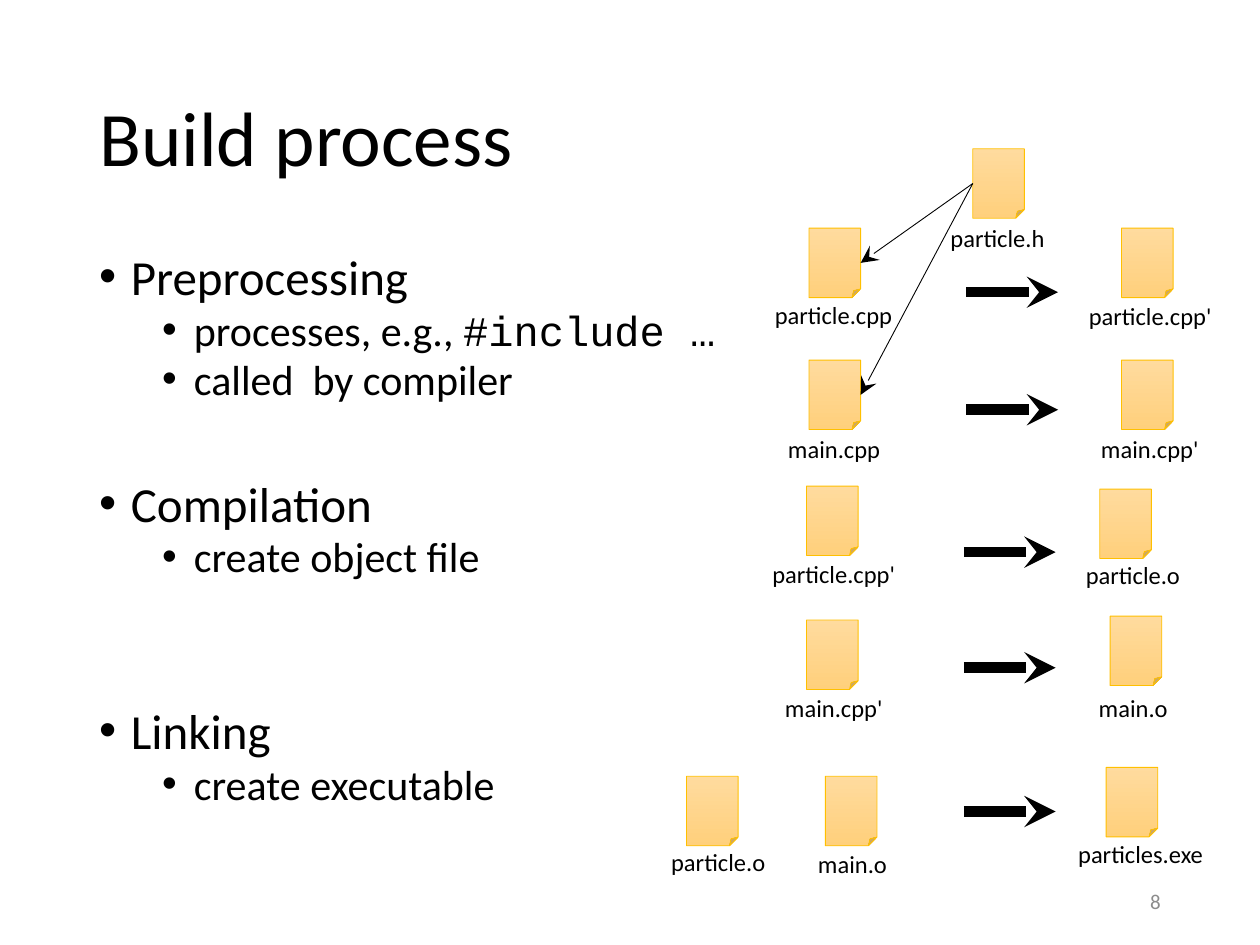
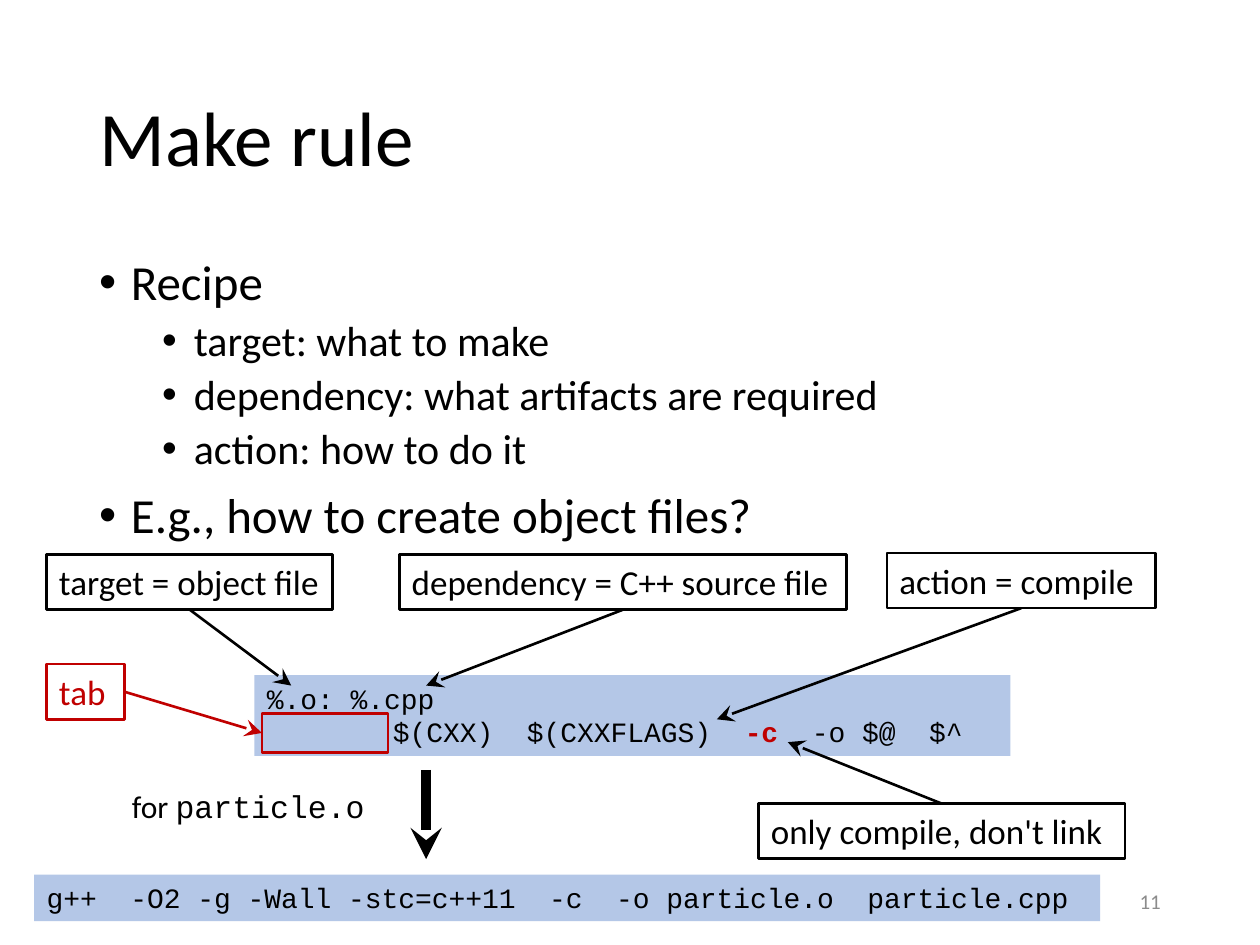
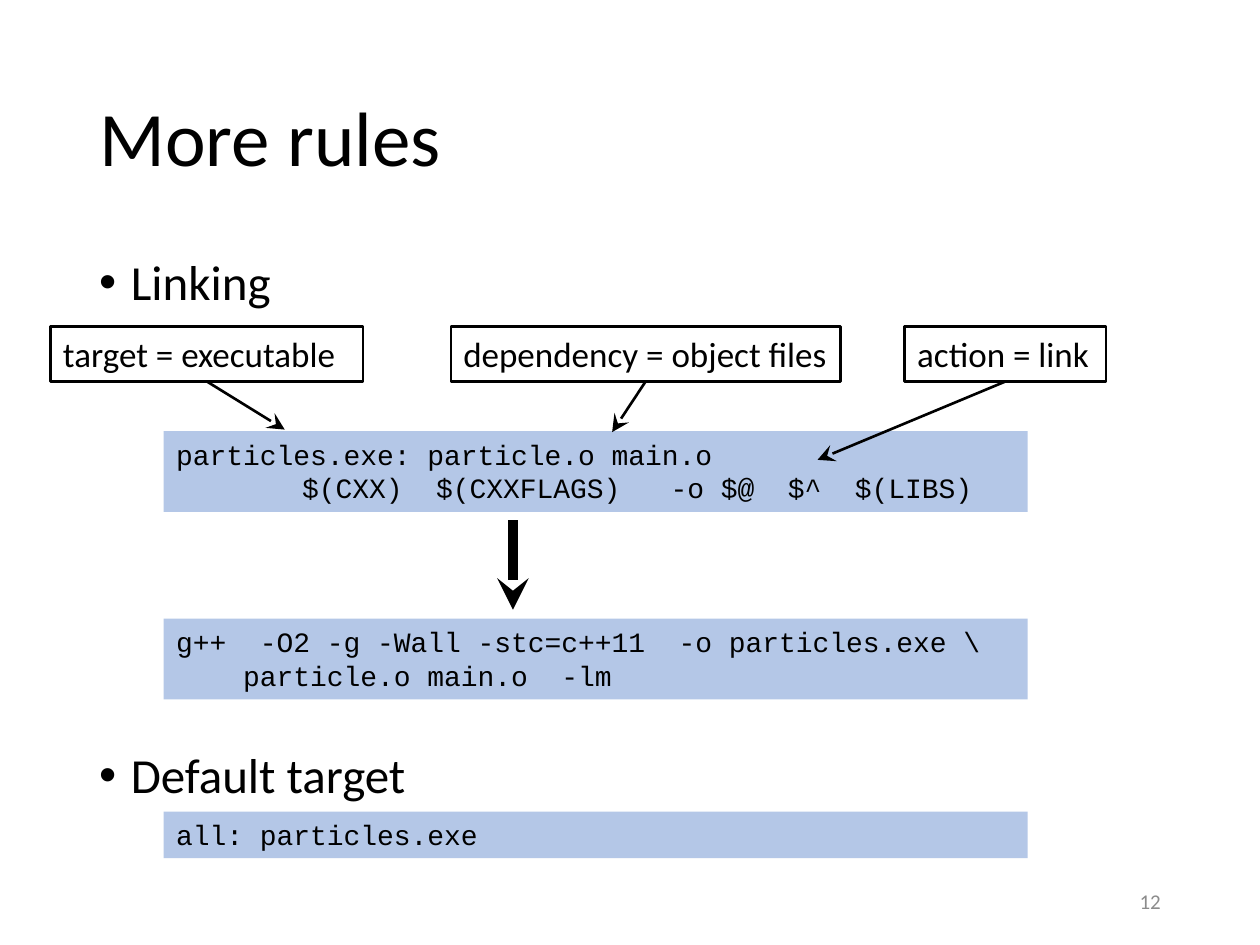
from lxml import etree
from pptx import Presentation
from pptx import util as u
from pptx.dml.color import RGBColor
from pptx.enum import shapes, text
from pptx.oxml.ns import qn

BLACK = RGBColor(0x00, 0x00, 0x00)
WHITE = RGBColor(0xFF, 0xFF, 0xFF)
GREY = RGBColor(0x8C, 0x8C, 0x8C)
RED = RGBColor(0xC0, 0x00, 0x00)
CODE_BLUE = RGBColor(0xB4, 0xC7, 0xE7)
FILE_TOP = RGBColor(0xFF, 0xDB, 0x9E)
FILE_BOTTOM = RGBColor(0xFF, 0xD0, 0x7C)
FILE_EDGE = RGBColor(0xFF, 0xC0, 0x00)

SANS, MONO = "Calibri", "Courier New"
TOP, LEFT, BOTTOM, RIGHT = range(4)
THICK = 6
FILE_W, FILE_H = 1.04, 1.4
CALLOUT_H = 1.11
CODE_TAB = 2.54
CODE_HEIGHTS = {1: 0.94, 2: 1.63}
LABEL_WIDTHS = {"particle.h": 2.44, "particle.cpp": 2.92, "main.cpp": 2.39,
                "particle.cpp'": 3.02, "main.cpp'": 2.49, "particle.o": 2.44,
                "main.o": 1.9, "particles.exe": 3.07}


# Text
def add_span(para, words, size, font=SANS, color=BLACK, bold=False):
    span = para.add_run()
    span.text = words
    span.font.size = u.Pt(size)
    span.font.name = font
    span.font.color.rgb = color
    span.font.bold = bold


def add_text_box(page, left, top, width, height, wrap=True):
    box = page.shapes.add_textbox(u.Cm(left), u.Cm(top), u.Cm(width), u.Cm(height))
    box.text_frame.word_wrap = wrap
    return box.text_frame


def next_para(frame, index):
    return frame.add_paragraph() if index else frame.paragraphs[0]


def add_bullets(page, items, line_spacing):
    """Each item is (level, space before in points, spans of (words, font))."""
    frame = add_text_box(page, 1.75, 5.08, 21.9, 12.09)
    for index, (level, gap, spans) in enumerate(items):
        para = next_para(frame, index)
        props = para._p.get_or_add_pPr()
        props.set("marL", str(u.Cm(0.64 + 1.27 * level)))
        props.set("indent", str(u.Cm(-0.64)))
        etree.SubElement(props, qn("a:buFont")).set("typeface", "Arial")
        etree.SubElement(props, qn("a:buChar")).set("char", "•")
        para.level = level
        para.line_spacing = line_spacing
        para.space_before = u.Pt(gap)
        for words, font in spans:
            add_span(para, words, 24 if level else 28, font)


# Page with title and number
def add_page(deck, title, number):
    page = deck.slides.add_slide(deck.slide_layouts[5])
    holder = page.shapes.title
    holder.left, holder.top = u.Cm(1.75), u.Cm(1.01)
    holder.width, holder.height = u.Cm(21.9), u.Cm(3.68)
    frame = holder.text_frame
    frame.auto_size = text.MSO_AUTO_SIZE.NONE
    frame.vertical_anchor = text.MSO_ANCHOR.MIDDLE
    para = frame.paragraphs[0]
    para.alignment = text.PP_ALIGN.LEFT
    para.line_spacing = 0.9
    add_span(para, title, 44)

    frame = add_text_box(page, 17.93, 17.66, 5.72, 1.02)
    frame.vertical_anchor = text.MSO_ANCHOR.MIDDLE
    frame.paragraphs[0].alignment = text.PP_ALIGN.RIGHT
    add_span(frame.paragraphs[0], number, 12, color=GREY)
    return page


# Shapes and arrows
def add_box(page, left, top, width, height, fill=None, edge=None, edge_width=1.5,
            kind=shapes.MSO_SHAPE.RECTANGLE):
    box = page.shapes.add_shape(kind, u.Cm(left), u.Cm(top), u.Cm(width), u.Cm(height))
    box.shadow.inherit = False
    if fill is None:
        box.fill.background()
    else:
        box.fill.solid()
        box.fill.fore_color.rgb = fill
    if edge is None:
        box.line.fill.background()
    else:
        box.line.color.rgb = edge
        box.line.width = u.Pt(edge_width)
    box.text_frame.word_wrap = True
    box.text_frame.vertical_anchor = text.MSO_ANCHOR.TOP
    return box


def add_arrow(page, start=(0, 0), end=(0, 0), width=1.5, color=BLACK,
              source=None, target=None):
    """Ends are points; source and target are (box, side) and take precedence."""
    arrow = page.shapes.add_connector(shapes.MSO_CONNECTOR.STRAIGHT,
                                      *[u.Cm(value) for value in (*start, *end)])
    if source:
        arrow.begin_connect(*source)
    if target:
        arrow.end_connect(*target)
    arrow.line.color.rgb = color
    arrow.line.width = u.Pt(width)
    props = arrow._element.spPr
    head = etree.SubElement(props.find(qn("a:ln")), qn("a:tailEnd"))
    head.set("type", "stealth")
    for side in ("w", "len"):
        head.set(side, "med" if width == THICK else "lg")
    etree.SubElement(props, qn("a:effectLst"))


def add_file(page, name, left, top, nudge, drop):
    """File icon with its name drop cm below its top, nudged off its centre."""
    icon = add_box(page, left, top, FILE_W, FILE_H, edge=FILE_EDGE, edge_width=0.5,
                   kind=shapes.MSO_SHAPE.FOLDED_CORNER)
    icon.fill.gradient()
    icon.fill.gradient_angle = 270
    for stop, color in zip(icon.fill.gradient_stops, (FILE_TOP, FILE_BOTTOM)):
        stop.color.rgb = color
    width = LABEL_WIDTHS[name]
    frame = add_text_box(page, left + (FILE_W - width) / 2 + nudge, top + drop,
                         width, 0.86, wrap=False)
    add_span(frame.paragraphs[0], name, 14)
    return icon


def add_code(page, left, top, width, lines):
    """Each line is a list of (words, is highlighted)."""
    box = add_box(page, left, top, width, CODE_HEIGHTS[len(lines)], CODE_BLUE)
    for index, spans in enumerate(lines):
        para = next_para(box.text_frame, index)
        tabs = etree.SubElement(para._p.get_or_add_pPr(), qn("a:tabLst"))
        etree.SubElement(tabs, qn("a:tab"), pos=str(u.Cm(CODE_TAB)), algn="l")
        para.alignment = text.PP_ALIGN.LEFT
        for words, strong in spans:
            add_span(para, words, 16, MONO, RED if strong else BLACK, strong)


def add_callout(page, words, left, top, width, color=BLACK, side=BOTTOM,
                end=(0, 0), target=None):
    box = add_box(page, left, top, width, CALLOUT_H, WHITE, color)
    para = box.text_frame.paragraphs[0]
    para.alignment = text.PP_ALIGN.LEFT
    add_span(para, words, 20, color=color)
    start = (left + width / 2, top + CALLOUT_H)
    add_arrow(page, start, end, color=color, source=(box, side), target=target)


# Pages
def build_process(deck):
    page = add_page(deck, "Build process", "8")
    add_bullets(page, [
        (0, 0, [("Preprocessing", SANS)]),
        (1, 5, [("processes, e.g., ", SANS), ("#include …", MONO)]),
        (1, 5, [("called  by compiler", SANS)]),
        (0, 46.5, [("Compilation", SANS)]),
        (1, 5, [("create object file", SANS)]),
        (0, 75, [("Linking", SANS)]),
        (1, 5, [("create executable", SANS)]),
    ], 0.8)

    # Preprocessing: the header goes into both sources
    sources = [add_file(page, "particle.cpp", 16.31, 4.6, 0, 1.32),
               add_file(page, "main.cpp", 16.31, 7.26, 0, 1.37)]
    header = add_file(page, "particle.h", 19.61, 3, 0, 1.37)
    for source in sources:
        add_arrow(page, width=0.5, source=(header, LEFT), target=(source, RIGHT))

    # Results of preprocessing, then compilation and linking
    for name, left, top, nudge, drop in [
        ("particle.cpp'", 22.61, 4.6, 0.08, 1.35),
        ("main.cpp'", 22.61, 7.26, 0.06, 1.37),
        ("particle.cpp'", 16.26, 9.8, 0.05, 1.35),
        ("main.cpp'", 16.26, 12.5, 0.04, 1.35),
        ("particle.o", 22.17, 9.86, 0.17, 1.3),
        ("main.o", 22.38, 12.42, -0.05, 1.42),
        ("particle.o", 13.84, 15.65, 0.14, 1.3),
        ("main.o", 16.64, 15.65, 0.03, 1.35),
        ("particles.exe", 22.3, 15.47, 0.2, 1.32),
    ]:
        add_file(page, name, left, top, nudge, drop)

    for left, top in [(19.48, 5.89), (19.48, 8.26), (19.43, 11.13),
                      (19.43, 13.46), (19.43, 16.36)]:
        add_arrow(page, (left, top), (left + 1.85, top), THICK)


def make_rule(deck):
    page = add_page(deck, "Make rule", "11")
    add_bullets(page, [
        (0, 0, [("Recipe", SANS)]),
        (1, 5, [("target: what to make", SANS)]),
        (1, 5, [("dependency: what artifacts are required", SANS)]),
        (1, 5, [("action: how to do it", SANS)]),
        (0, 10, [("E.g., how to create object files?", SANS)]),
    ], 0.9)

    # Rule and its callouts
    add_code(page, 5.13, 13.61, 15.24, [
        [("%.o: %.cpp", False)],
        [("\t$(CXX)  $(CXXFLAGS)  ", False), ("-c", True), ("  -o $@  $^", False)],
    ])
    tab_slot = add_box(page, 5.28, 14.38, 2.54, 0.79, edge=RED)
    add_callout(page, "target = object file", 0.94, 11.18, 5.77, end=(5.87, 13.82))
    add_callout(page, "dependency = C++ source file", 8.05, 11.18, 9.02,
                end=(8.59, 13.82))
    add_callout(page, "action = compile", 17.88, 11.15, 5.41, end=(14.45, 14.5))
    add_callout(page, "only compile, don't link", 15.29, 16.2, 7.39, side=TOP,
                end=(15.88, 14.96))
    add_callout(page, "tab", 0.94, 13.39, 1.57, RED, RIGHT, target=(tab_slot, LEFT))

    # Expanded command
    frame = add_text_box(page, 2.41, 15.75, 5.23, 1.02, wrap=False)
    add_span(frame.paragraphs[0], "for ", 18)
    add_span(frame.paragraphs[0], "particle.o", 18, MONO)
    add_arrow(page, (8.59, 15.52), (8.59, 17.32), THICK)
    add_code(page, 0.69, 17.63, 21.49, [
        [("g++  -O2 -g -Wall -stc=c++11  -c  -o particle.o  particle.cpp", False)]])


def more_rules(deck):
    page = add_page(deck, "More rules", "12")
    add_bullets(page, [(0, 0, [("Linking", SANS)]),
                       (0, 251.5, [("Default target", SANS)])], 0.9)

    # Code blocks
    for top, lines in [
        (8.69, ["particles.exe: particle.o main.o",
                "\t$(CXX)  $(CXXFLAGS)   -o $@  $^  $(LIBS)"]),
        (12.47, ["g++  -O2 -g -Wall -stc=c++11  -o particles.exe \\",
                 "    particle.o main.o  -lm"]),
        (16.36, ["all: particles.exe"]),
    ]:
        add_code(page, 3.3, top, 17.42, [[(line, False)] for line in lines])
    add_arrow(page, (10.34, 10.49), (10.34, 12.29), THICK)

    # Callouts
    for words, left, width, end in [
        ("target = executable", 1.02, 6.3, (5.74, 8.66)),
        ("dependency = object files", 9.09, 7.85, (12.34, 8.71)),
        ("action = link", 18.24, 4.06, (16.48, 9.27)),
    ]:
        add_callout(page, words, left, 6.58, width, end=end)


def main():
    deck = Presentation()
    deck.slide_width, deck.slide_height = u.Cm(25.4), u.Cm(19.05)
    build_process(deck)
    make_rule(deck)
    more_rules(deck)
    deck.save("out.pptx")


if __name__ == "__main__":
    main()
